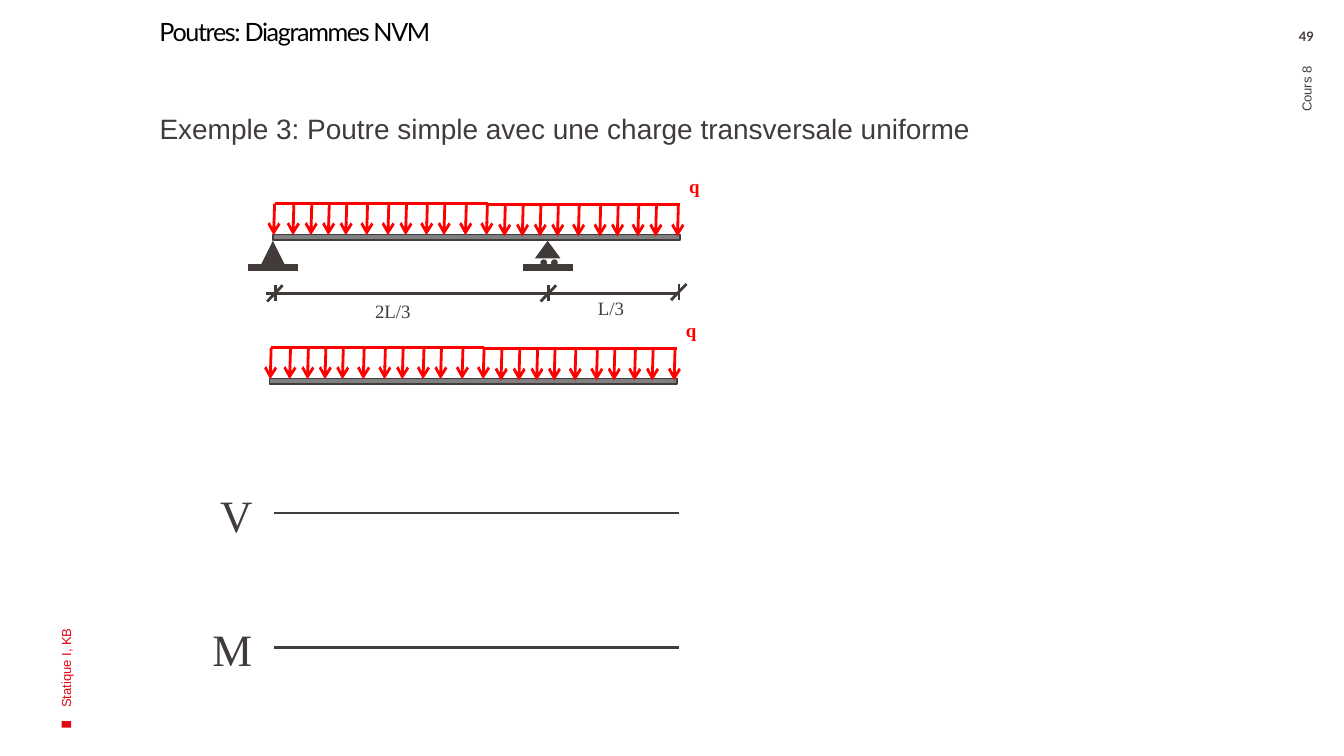
from dataclasses import dataclass

from lxml.etree import SubElement
from pptx import Presentation
from pptx.dml.color import RGBColor as Rgb
from pptx.enum.shapes import MSO_CONNECTOR as Conn, MSO_SHAPE as Kind
from pptx.enum.text import MSO_ANCHOR as Anchor, MSO_AUTO_SIZE as Auto, PP_ALIGN as Align
from pptx.oxml.ns import qn
from pptx.util import Inches, Pt


@dataclass(frozen=True)
class Theme:
    ink: str = "413C3A"
    red: str = "FF0000"
    mark: str = "E30613"
    gray: str = "808080"
    black: str = "000000"
    sans: str = "Arial"
    head: str = "Lato"
    serif: str = "Times New Roman"
    tiny: float = 7
    small: float = 10.1
    title: float = 13.5
    body: float = 15
    big: float = 24
    thin: float = 1
    line: float = 1.5
    plate: float = 4


@dataclass(frozen=True)
class Box:
    x: float
    y: float
    w: float
    h: float


@dataclass(frozen=True)
class Label:
    text: str
    box: Box
    size: float
    font: str
    color: str
    bold: bool = False
    wrap: bool = True
    turn: int = 0
    align: Align = Align.LEFT
    anchor: Anchor = Anchor.TOP
    inset: tuple[float, float, float, float] = (1, 0.5, 1, 0.5)
    lead: float = 1
    track: int = 0


@dataclass(frozen=True)
class Half:
    """One part of the load: its first and last column, drop and arrows."""
    start: float
    end: float
    bar: float
    drop: float
    cols: tuple[float, ...]


T = Theme()
prs = Presentation()
prs.slide_width = Inches(10)
prs.slide_height = prs.slide_width * 9 // 16
slide = prs.slides.add_slide(prs.slide_layouts[6])


def cell(n: float) -> int:
    """The grid is square, with 100 columns across the slide."""
    return round(prs.slide_width * n / 100)


def shape(kind: Kind, box: Box, fill: str, edge: str = "", turn: int = 0) -> None:
    s = slide.shapes.add_shape(kind, cell(box.x), cell(box.y), cell(box.w), cell(box.h))
    s.shadow.inherit = False
    s.rotation = turn
    s.fill.solid()
    s.fill.fore_color.rgb = Rgb.from_string(fill)
    if edge:
        s.line.color.rgb = Rgb.from_string(edge)
        s.line.width = Pt(T.thin)
    else:
        s.line.fill.background()


def line(x1: float, y1: float, x2: float, y2: float, color: str = T.ink,
         width: float = T.line, arrow: bool = False) -> None:
    c = slide.shapes.add_connector(Conn.STRAIGHT, cell(x1), cell(y1), cell(x2), cell(y2))
    c.line.color.rgb = Rgb.from_string(color)
    c.line.width = Pt(width)
    if arrow:
        SubElement(c.line._get_or_add_ln(), qn("a:tailEnd"), type="arrow")
    SubElement(c._element.spPr, qn("a:effectLst"))


def write(item: Label) -> None:
    b = item.box
    s = slide.shapes.add_textbox(cell(b.x), cell(b.y), cell(b.w), cell(b.h))
    s.rotation = item.turn
    f = s.text_frame
    f.word_wrap = item.wrap
    f.auto_size = Auto.NONE if item.wrap else Auto.SHAPE_TO_FIT_TEXT
    f.vertical_anchor = item.anchor
    f.margin_left, f.margin_top, f.margin_right, f.margin_bottom = map(cell, item.inset)
    p = f.paragraphs[0]
    p.alignment, p.line_spacing = item.align, item.lead
    p.font.size, p.font.name, p.font.bold = Pt(item.size), item.font, item.bold
    p.font.color.rgb = Rgb.from_string(item.color)
    run = p.add_run()
    run.text = item.text
    if item.track:
        run._r.get_or_add_rPr().set("spc", str(item.track))


def tag(text: str, box: Box, size: float = T.small, color: str = T.ink,
        bold: bool = False) -> None:
    write(Label(text, box, size, T.serif, color, bold, wrap=False))


HALVES = (
    Half(20.45, 36.3, 15.15, 2.35, (20.43, 21.87, 23.2, 24.5, 25.8, 27.35, 28.93,
                                  30.25, 31.8, 33.1, 34.7, 36.27)),
    Half(36.2, 50.6, 15.2, 2.4, (37.6, 38.93, 40.25, 41.55, 43.1, 44.7, 46,
                                47.53, 48.85, 50.48)),
)


def beam(dx: float, dy: float) -> None:
    """A beam under its uniform load q."""
    shape(Kind.RECTANGLE, Box(20.3 + dx, 17.45 + dy, 30.3, 0.4), T.gray, T.ink)
    for h in HALVES:
        top = h.bar + dy
        for x in h.cols:
            line(x + dx, top, x + dx - 0.07, top + h.drop, T.red, arrow=True)
        line(h.end + dx, top, h.start + dx, top, T.red)
    tag("q", Box(50.3 + dx, 12.5 + dy, 2.8, 2.7), color=T.red, bold=True)


def stand(x: float, h: float) -> None:
    """A support: triangle of height h above a plate."""
    shape(Kind.ISOSCELES_TRIANGLE, Box(x - 0.95, 17.92, 1.9, h), T.ink)
    line(x - 1.87, 19.92, x + 1.87, 19.92, width=T.plate)


def tick(x: float, y: float) -> None:
    line(x, y - 0.6, x, y + 0.6)
    line(x - 0.6, y + 0.6, x + 0.55, y - 0.6)


# Page frame
shape(Kind.RECTANGLE, Box(4.7, 53.55, 0.5, 0.7), T.mark, turn=270)
for item in (
    Label("Poutres: Diagrammes NVM", Box(9.87, 1.45, 76.7, 11.7), T.title, T.head,
          T.black, inset=(2, 0, 0.8, 0.5), lead=0.9, track=-70),
    Label("Exemple 3: Poutre simple avec une charge transversale uniforme",
          Box(9.87, 8.1, 84.5, 37), T.body, T.sans, T.ink,
          inset=(2, 0.5, 1, 0.5), lead=0.9),
    Label("Statique I, KB", Box(-13.35, 30.4, 36.5, 10), T.tiny, T.sans, T.mark,
          turn=270, anchor=Anchor.MIDDLE),
    Label("49", Box(94.4, 2.1, 5.6, 1.8), T.tiny, T.head, T.ink, bold=True,
          align=Align.CENTER, inset=(1, 0, 1, 0)),
    Label("Cours 8", Box(77.85, 20.5, 38.7, 5.6), T.tiny, T.sans, T.ink,
          turn=270, align=Align.RIGHT, anchor=Anchor.MIDDLE),
):
    write(item)

# Supports: a pin, then a roller
stand(20.3, 1.9)
stand(40.75, 1.3)
for x in (40.2, 41):
    shape(Kind.OVAL, Box(x, 19.3, 0.5, 0.5), T.ink)

# Loaded beam, and the same beam freed from its supports
beam(0, 0)
beam(-0.25, 10.72)

# Spans
line(19.8, 21.83, 50.6, 21.83)
for x, y in ((20.48, 21.83), (40.83, 21.83), (50.53, 21.73)):
    tick(x, y)
tag("2L/3", Box(26.93, 21.8, 4.7, 2.7))
tag("L/3", Box(43.5, 21.6, 4, 2.7))

# Axes of the shear and moment diagrams
for name, x, w, y in (("V", 15.4, 4.5, 38.17), ("M", 14.83, 5, 48.17)):
    tag(name, Box(x, y - 2.37, w, 5), T.big)
    line(20.42, y, 50.55, y)

prs.save("out.pptx")
